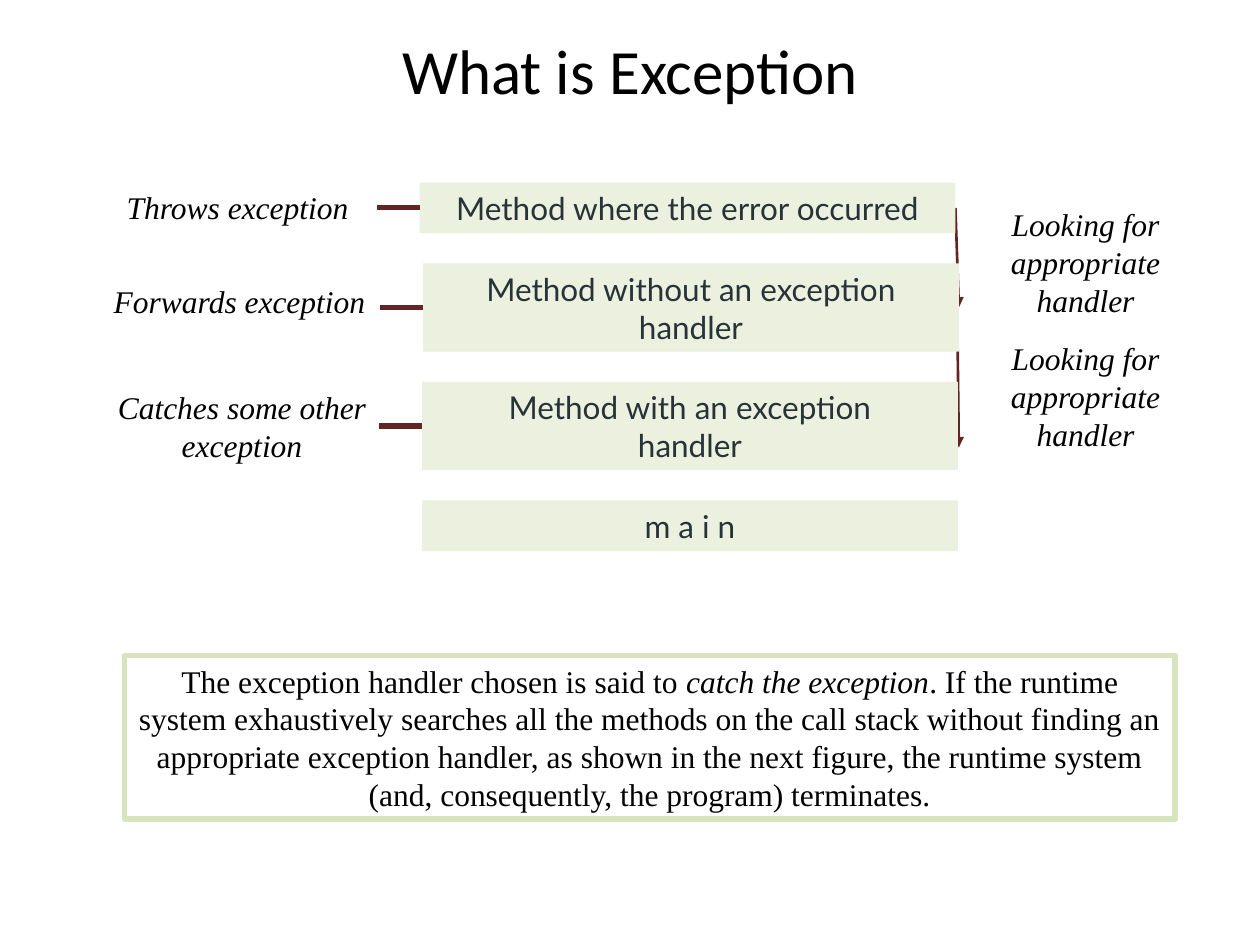
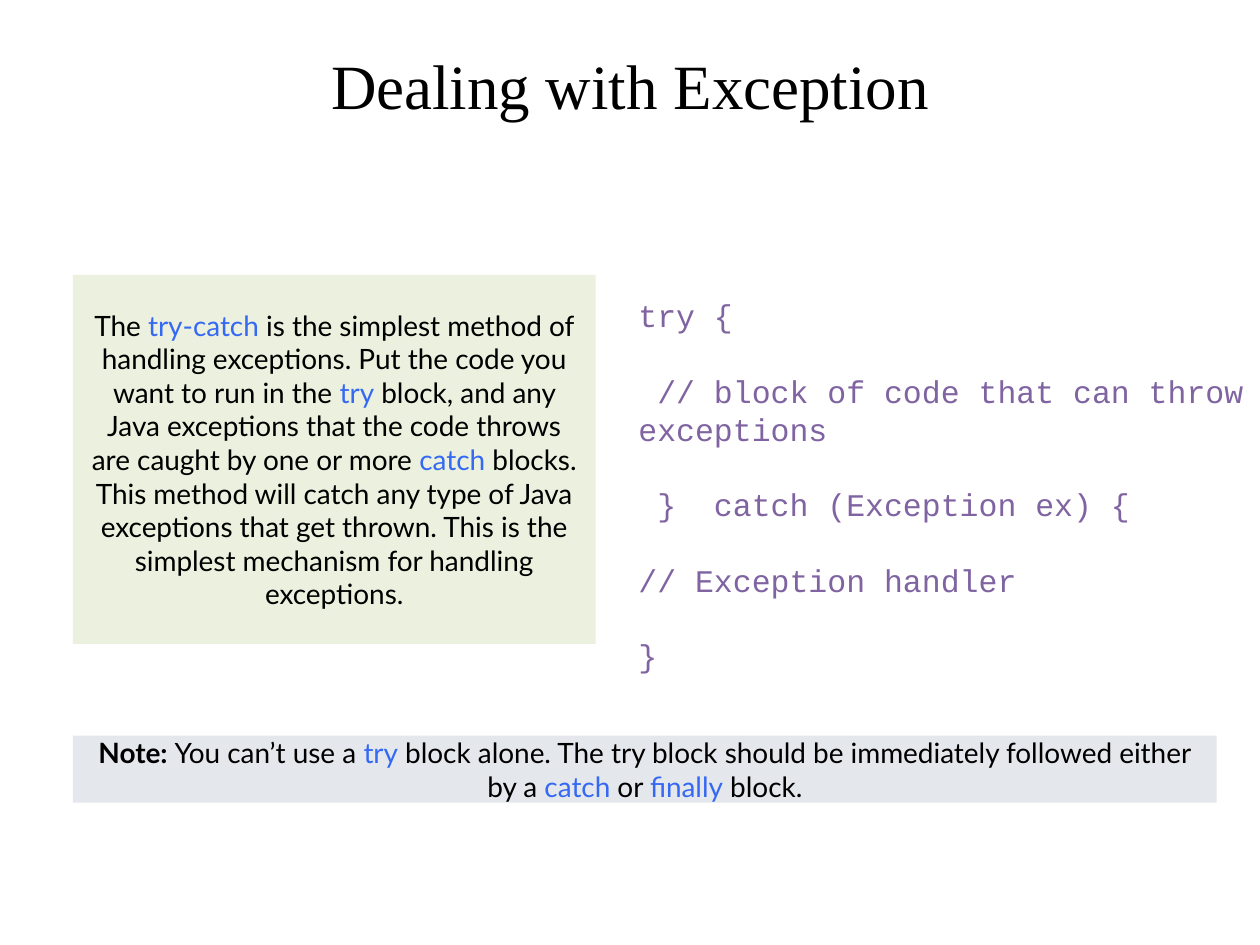
from lxml import etree
from pptx import Presentation
from pptx.dml.color import RGBColor
from pptx.enum.shapes import MSO_CONNECTOR, MSO_SHAPE
from pptx.enum.text import MSO_ANCHOR, PP_ALIGN
from pptx.oxml.ns import qn
from pptx.util import Cm, Pt

COLORS = {
    "black": "000000",
    "method_text": "273239",
    "method_fill": "EBF1DE",
    "summary_line": "D7E4BD",
    "arrow": "632523",
    "keyword": "3569F3",
    "code": "8064A2",
    "note_fill": "E4E7EC",
}
SERIF, SANS, MONO = "Times New Roman", "Lato", "Courier New"
LINE_HEIGHT = 1.2  # line pitch as a multiple of the font size

# Slide 1; all places are left, top, width, height in cm
METHODS = [  # text, left, height
    ("Method where the error occurred", 8.46, 1.02),
    ("Method without an exception handler", 8.53, 1.78),
    ("Method with an exception\nhandler", 8.51, 1.78),
    ("m a i n", 8.51, 1.02),
]
METHOD_TOP, METHOD_WIDTH, METHOD_GAP = 3.68, 10.8, 0.61
LINK_LENGTH = 0.86
LABELS = [
    ("Throws exception", (2.11, 3.66, 5.36, 1.02)),
    ("Forwards exception", (1.98, 5.56, 5.7, 1.02)),
    ("Catches some other exception", (1.4, 7.7, 6.96, 1.78)),
    ("Looking for appropriate handler", (20.02, 4.01, 3.73, 2.54)),
    ("Looking for appropriate handler", (19.61, 6.71, 4.55, 2.54)),
]
SEARCH_ARROWS = [  # from x, y to x, y
    (19.25, 4.19, 19.33, 6.2),
    (19.3, 6.58, 19.33, 9.02),
]
SUMMARY = [
    "The exception handler chosen is said to ",
    ("catch the exception", {"italic": True}),
    ". If the runtime system exhaustively searches all the methods on the call stack "
    "without finding an appropriate exception handler, as shown in the next figure, "
    "the runtime system (and, consequently, the program) terminates.",
]

# Slide 2
KEYWORD = {"color": "keyword"}
TRY_CATCH = [
    [
        "The ", ("try-catch", KEYWORD),
        " is the simplest method of handling exceptions. "
        "Put the code you want to run in the ", ("try", KEYWORD),
        " block, and any Java exceptions that the code throws are caught by one or more ",
        ("catch", KEYWORD), " blocks.",
    ],
    ["This method will catch any type of Java exceptions that get thrown. "
     "This is the simplest mechanism for handling exceptions."],
]
CODE = [
    "try {",
    " // block of code that can throw exceptions",
    " }  catch (Exception ex) {",
    "// Exception handler",
    "}",
]
NOTE = [
    ("Note: ", {"bold": True}), "You can’t use a ", ("try", KEYWORD),
    " block alone. The try block should be immediately followed either by a ",
    ("catch", KEYWORD), " or ", ("finally", KEYWORD), " block.",
]


def rgb(name):
    return RGBColor.from_string(COLORS[name])


def add_runs(paragraph, text, font, size, color, bold=False, italic=False):
    """Add text to a paragraph; a newline becomes a line break."""
    for index, part in enumerate(text.split("\n")):
        if index:
            paragraph.add_line_break()
        run = paragraph.add_run()
        run.text = part
        run.font.name = font
        run.font.size = Pt(size)
        run.font.bold = bold
        run.font.italic = italic
        run.font.color.rgb = rgb(color)


def write(shape, paragraphs, font=SERIF, size=18, color="black", italic=False,
          align=PP_ALIGN.CENTER, anchor=MSO_ANCHOR.TOP, margin=0.13, gap=0):
    """Fill a shape with paragraphs, each a list of strings or (string, format) pairs."""
    frame = shape.text_frame
    frame.word_wrap = True
    frame.vertical_anchor = anchor
    frame.margin_left = frame.margin_right = Cm(0.25)
    frame.margin_top = frame.margin_bottom = Cm(margin)
    for index, pieces in enumerate(paragraphs):
        paragraph = frame.add_paragraph() if index else frame.paragraphs[0]
        paragraph.alignment = align
        paragraph.line_spacing = Pt(size * LINE_HEIGHT)
        if index and gap:
            paragraph.space_before = Pt(gap)
        for piece in pieces:
            text, changes = (piece, {}) if isinstance(piece, str) else piece
            style = {"font": font, "size": size, "color": color, "italic": italic}
            add_runs(paragraph, text, **{**style, **changes})


def add_text(slide, place, paragraphs, **text_format):
    write(slide.shapes.add_textbox(*map(Cm, place)), paragraphs, **text_format)


def add_box(slide, place, paragraphs, fill=None, line=None, **text_format):
    box = slide.shapes.add_shape(MSO_SHAPE.RECTANGLE, *map(Cm, place))
    box.shadow.inherit = False
    if fill:
        box.fill.solid()
        box.fill.fore_color.rgb = rgb(fill)
    else:
        box.fill.background()
    if line:
        box.line.color.rgb = rgb(line)
        box.line.width = Pt(3)
    else:
        box.line.fill.background()
    write(box, paragraphs, **text_format)
    return box


def add_line(slide, ends, width, arrow=False):
    connector = slide.shapes.add_connector(MSO_CONNECTOR.STRAIGHT, *map(Cm, ends))
    connector.line.color.rgb = rgb("arrow")
    connector.line.width = Pt(width)
    if arrow:
        etree.SubElement(connector.line._get_or_add_ln(), qn("a:tailEnd"), type="triangle")
    etree.SubElement(connector._element.spPr, qn("a:effectLst"))
    return connector


def add_slide(presentation, title, top, height, font):
    slide = presentation.slides.add_slide(presentation.slide_layouts[6])
    add_text(slide, (1.91, top, 21.59, height), [[title]],
             font=font, size=36, anchor=MSO_ANCHOR.MIDDLE)
    return slide


def build_call_stack(presentation):
    slide = add_slide(presentation, "What is Exception", 0.66, 1.47, "Calibri")
    add_box(slide, (2.51, 13.21, 21.18, 3.3), [SUMMARY], line="summary_line")
    for label, place in LABELS:
        add_text(slide, place, [[label]], italic=True)

    arrows = [add_line(slide, ends, 1.5, arrow=True) for ends in SEARCH_ARROWS]
    boxes = []
    top = METHOD_TOP
    for method, left, height in METHODS:
        box = add_box(slide, (left, top, METHOD_WIDTH, height), [[method]],
                      fill="method_fill", font=SANS, color="method_text")
        boxes.append(box)
        if method != METHODS[-1][0]:
            middle = top + height / 2
            link = add_line(slide, (left - LINK_LENGTH, middle, left, middle), 3)
            link.end_connect(box, 1)
        top += height + METHOD_GAP
    arrows[0].begin_connect(boxes[0], 3)
    arrows[0].end_connect(boxes[1], 3)


def build_try_catch(presentation):
    slide = add_slide(presentation, "Dealing with Exception", 1.07, 1.27, SERIF)
    panel = {"font": SANS, "size": 16, "anchor": MSO_ANCHOR.MIDDLE, "margin": 0}
    add_box(slide, (1.47, 5.54, 10.54, 7.44), TRY_CATCH, fill="method_fill", **panel)
    add_text(slide, (12.62, 5.84, 16.08, 7.11), [[line] for line in CODE], font=MONO,
             color="code", align=PP_ALIGN.LEFT, gap=18 * LINE_HEIGHT)
    add_box(slide, (1.47, 14.83, 23.06, 1.35), [NOTE], fill="note_fill", **panel)


def main():
    presentation = Presentation()
    presentation.slide_width, presentation.slide_height = Cm(25.4), Cm(19.05)
    build_call_stack(presentation)
    build_try_catch(presentation)
    presentation.save("out.pptx")


if __name__ == "__main__":
    main()
